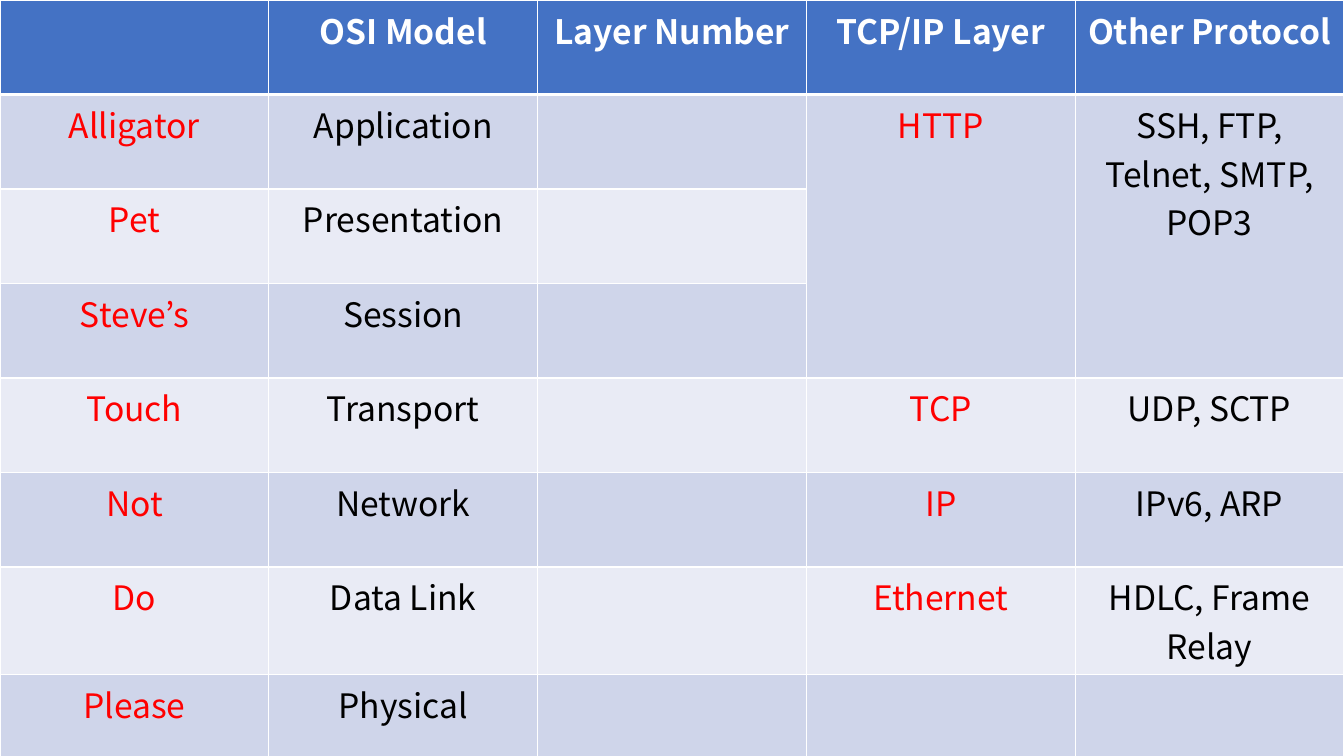
from lxml.etree import SubElement
from pptx import Presentation
from pptx.dml.color import RGBColor
from pptx.enum.text import PP_ALIGN
from pptx.oxml.ns import qn
from pptx.util import Inches, Pt

FONT = "Noto Sans CJK KR"
WHITE = RGBColor(0xFF, 0xFF, 0xFF)
BLACK = RGBColor(0x00, 0x00, 0x00)
RED = RGBColor(0xFF, 0x00, 0x00)
HEADER_BLUE = RGBColor(0x44, 0x72, 0xC4)
BAND_DARK = RGBColor(0xCF, 0xD5, 0xEA)
BAND_LIGHT = RGBColor(0xE9, 0xEB, 0xF5)

LAYERS = [
    ["", "OSI Model", "Layer Number", "TCP/IP Layer", "Other Protocol"],
    ["Alligator", "Application", "", "HTTP", "SSH, FTP, Telnet, SMTP, POP3"],
    ["Pet", "Presentation", "", "", ""],
    ["Steve’s", "Session", "", "", ""],
    ["Touch", "Transport", "", "TCP", "UDP, SCTP"],
    ["Not", "Network", "", "IP", "IPv6, ARP"],
    ["Do", "Data Link", "", "Ethernet", "HDLC, Frame Relay"],
    ["Please", "Physical", "", "", ""],
]
RED_COLUMNS = (0, 3)
MERGED_COLUMNS = (3, 4)


def add_border(cell, side, points):
    line = SubElement(cell._tc.get_or_add_tcPr(), qn(f"a:ln{side}"), w=str(Pt(points)))
    fill = SubElement(line, qn("a:solidFill"))
    SubElement(fill, qn("a:srgbClr"), val=str(WHITE))


deck = Presentation()
deck.slide_width = Inches(13.33)
deck.slide_height = Inches(7.5)
page = deck.slides.add_slide(deck.slide_layouts[6])

table = page.shapes.add_table(
    len(LAYERS), len(LAYERS[0]), 0, 0, deck.slide_width, deck.slide_height
).table

for row, texts in enumerate(LAYERS):
    is_header = row == 0
    band = HEADER_BLUE if is_header else BAND_DARK if row % 2 else BAND_LIGHT
    for column, text in enumerate(texts):
        cell = table.cell(row, column)
        for side in "LRTB":
            under_header = (row, side) in ((0, "B"), (1, "T"))
            add_border(cell, side, 3 if under_header else 1)
        cell.fill.solid()
        cell.fill.fore_color.rgb = band
        if not text:
            continue
        cell.text = text
        para = cell.text_frame.paragraphs[0]
        para.alignment = PP_ALIGN.CENTER
        para.font.name = FONT
        para.font.size = Pt(24)
        para.font.bold = is_header
        body_color = RED if column in RED_COLUMNS else BLACK
        para.font.color.rgb = WHITE if is_header else body_color

for column in MERGED_COLUMNS:
    table.cell(1, column).merge(table.cell(3, column))

deck.save("out.pptx")
